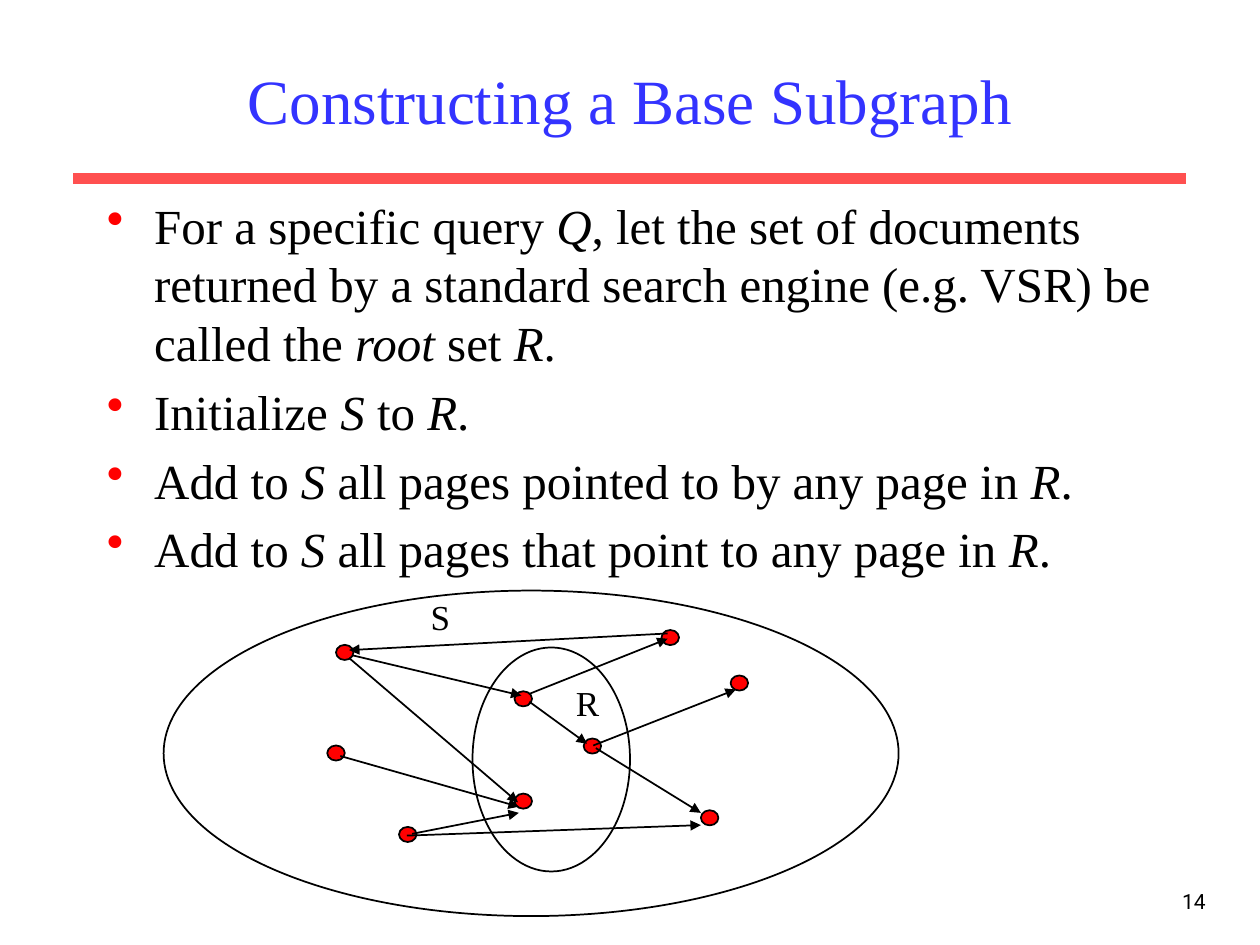
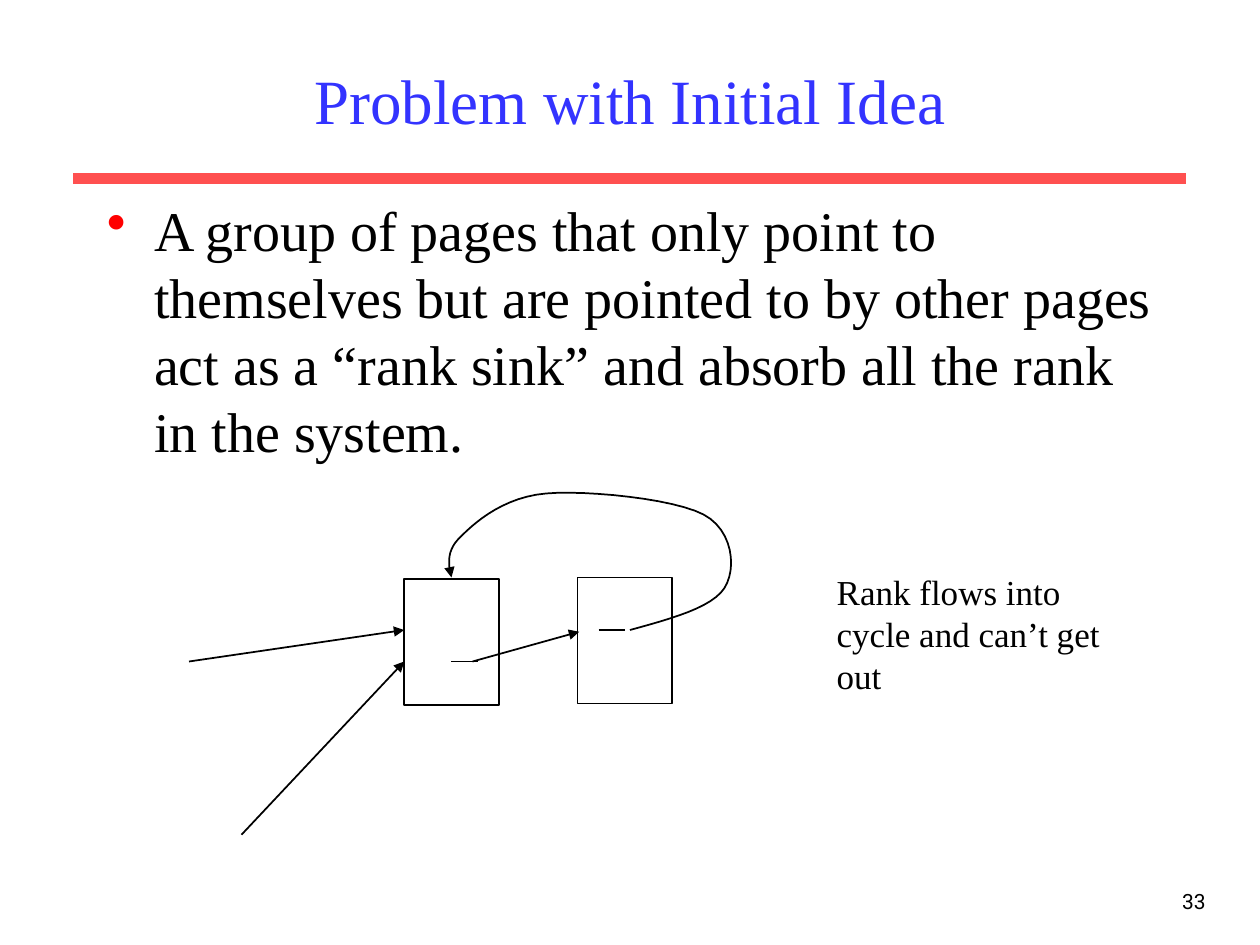
"""Build two slides on link analysis: the base subgraph and the rank sink."""
from lxml import etree
from pptx import Presentation
from pptx.dml.color import RGBColor
from pptx.enum import shapes, text
from pptx.oxml import ns
from pptx.util import Pt

BLACK = RGBColor(0x00, 0x00, 0x00)
RED = RGBColor(0xFF, 0x00, 0x00)
BAND_RED = RGBColor(0xFF, 0x50, 0x50)
TITLE_BLUE = RGBColor(0x33, 0x33, 0xFF)
SERIF, SANS = "Times New Roman", "Roboto"
LEFT, CENTER, RIGHT = text.PP_ALIGN.LEFT, text.PP_ALIGN.CENTER, text.PP_ALIGN.RIGHT
OVAL, RECTANGLE = shapes.MSO_SHAPE.OVAL, shapes.MSO_SHAPE.RECTANGLE


def write(page, place, lines, size, color=BLACK, align=LEFT, font=SERIF, bullets=False):
    """Add a text box whose lines mark italics with asterisks."""
    box = page.shapes.add_textbox(*map(Pt, place))
    frame = box.text_frame
    frame.word_wrap = True
    for number, line in enumerate(lines):
        para = frame.add_paragraph() if number else frame.paragraphs[0]
        para.alignment = align
        for index, words in enumerate(line.split("*")):
            if words:
                span = para.add_run()
                span.text = words
                span.font.name, span.font.size = font, Pt(size)
                span.font.color.rgb = color
                span.font.italic = index % 2 == 1
        if bullets:
            para.space_before = Pt(size * 0.2)
            props = para._p.get_or_add_pPr()
            props.set("marL", str(Pt(27)))
            props.set("indent", str(-Pt(27)))
            tint = etree.SubElement(props, ns.qn("a:buClr"))
            etree.SubElement(tint, ns.qn("a:srgbClr"), val=str(RED))
            etree.SubElement(props, ns.qn("a:buChar"), char="•")
    return frame


def draw_line(item, color=BLACK, width=1, arrow=False):
    """Style a line without shadow, with an arrowhead at its end on request."""
    item.line.color.rgb = color
    item.line.width = Pt(width)
    if arrow:
        etree.SubElement(item.line._get_or_add_ln(), ns.qn("a:tailEnd"), type="triangle")
    etree.SubElement(item._element.spPr, ns.qn("a:effectLst"))


subgraph = {
    "title": "Constructing a Base Subgraph",
    "number": "14",
    "body_width": 636,
    "body_size": 28,
    "body": [
        "For a specific query *Q*, let the set of documents returned by a standard "
        "search engine (e.g. VSR) be called the *root* set *R*.",
        "Initialize *S *to *R*.",
        "Add to *S *all pages pointed to by any page in *R*.",
        "Add to *S* all pages that point to any page in *R*.",
    ],
    "dots": [(294, 395), (333.5, 422), (294, 453.5), (417.5, 386), (400.5, 463),
             (192, 368.5), (187, 426), (378, 360), (228, 472.5)],
    "outlines": [(OVAL, (270, 370, 90, 128)), (OVAL, (93.5, 337.5, 420, 186))],
    "arrows": [
        (201.5, 374.5, 298, 397.5), (199.5, 376, 296, 458.5),
        (194.5, 432, 296.5, 461), (235.5, 476.5, 296.5, 464.5),
        (232.5, 477.5, 400.5, 471.5), (340.5, 427.5, 400.5, 464.5),
        (339, 426, 420.5, 394), (302.5, 401, 335.5, 425),
        (302.5, 396.5, 381.5, 365), (381.5, 362, 199.5, 371.5),
    ],
    "links": [],
}
rank_sink = {
    "title": "Problem with Initial Idea",
    "number": "33",
    "body_width": 612,
    "body_size": 32,
    "body": [
        "A group of pages that only point to themselves but are pointed to by other "
        "pages act as a “rank sink” and absorb all the rank in the system."
    ],
    "dots": [],
    "outlines": [(RECTANGLE, (231, 331, 54, 72)), (RECTANGLE, (330, 330, 54, 72))],
    "arrows": [(270, 378, 331, 361), (108, 378, 231, 360), (138, 477, 231, 378)],
    "links": [(342, 360, 357, 360), (258, 378, 273, 378)],
}

deck = Presentation()
deck.slide_width, deck.slide_height = Pt(720), Pt(540)
pages = []
for content in (subgraph, rank_sink):
    page = deck.slides.add_slide(deck.slide_layouts[6])
    pages.append(page)
    band = page.shapes.add_connector(
        shapes.MSO_CONNECTOR.STRAIGHT, Pt(42), Pt(102), Pt(678), Pt(102))
    draw_line(band, BAND_RED, 6)
    write(page, (546, 504, 150, 36), [content["number"]], 12, align=RIGHT, font=SANS)
    title = write(page, (54, 18, 612, 78), [content["title"]], 36, TITLE_BLUE, CENTER)
    title.vertical_anchor = text.MSO_ANCHOR.MIDDLE
    write(page, (54, 108, content["body_width"], 369), content["body"],
          content["body_size"], bullets=True)

    for left, top in content["dots"]:
        dot = page.shapes.add_shape(OVAL, Pt(left), Pt(top), Pt(10), Pt(8.64))
        dot.fill.solid()
        dot.fill.fore_color.rgb = RED
        draw_line(dot)
    for kind, place in content["outlines"]:
        outline = page.shapes.add_shape(kind, *map(Pt, place))
        outline.fill.background()
        draw_line(outline)
    for group in ("arrows", "links"):
        for ends in content[group]:
            link = page.shapes.add_connector(
                shapes.MSO_CONNECTOR.STRAIGHT, *map(Pt, ends))
            draw_line(link, arrow=group == "arrows")

graph_page, sink_page = pages
for letter, place, align in (("R", (322, 386, 27.4, 31), RIGHT),
                             ("S", (239, 337, 25, 31), CENTER)):
    label = write(graph_page, place, [letter], 20, align=align)
    label.word_wrap = False

note = write(sink_page, (471, 322.5, 195, 55.5),
             ["Rank flows into", "cycle and can’t get out"], 20)
note.margin_right = Pt(10)

loop_start = (360, 360)
loop_curves = [
    ((384, 353.5), (407, 347), (414, 336)),
    ((421, 325), (419, 303), (402, 294)),
    ((385, 285), (335, 280), (312, 282)),
    ((289, 284), (273, 297), (264, 306)),
    ((255, 314), (256, 322), (258, 330)),
]
steps = 12
points = []
start = loop_start
for first, second, end in loop_curves:
    for step in range(1, steps + 1):
        t = step / steps
        points.append(tuple(
            Pt((1 - t) ** 3 * a + 3 * (1 - t) ** 2 * t * b + 3 * (1 - t) * t ** 2 * c + t ** 3 * d)
            for a, b, c, d in zip(start, first, second, end)))
    start = end
builder = sink_page.shapes.build_freeform(*map(Pt, loop_start))
builder.add_line_segments(points, close=False)
loop = builder.convert_to_shape()
loop.fill.background()
draw_line(loop, arrow=True)

deck.save("out.pptx")
